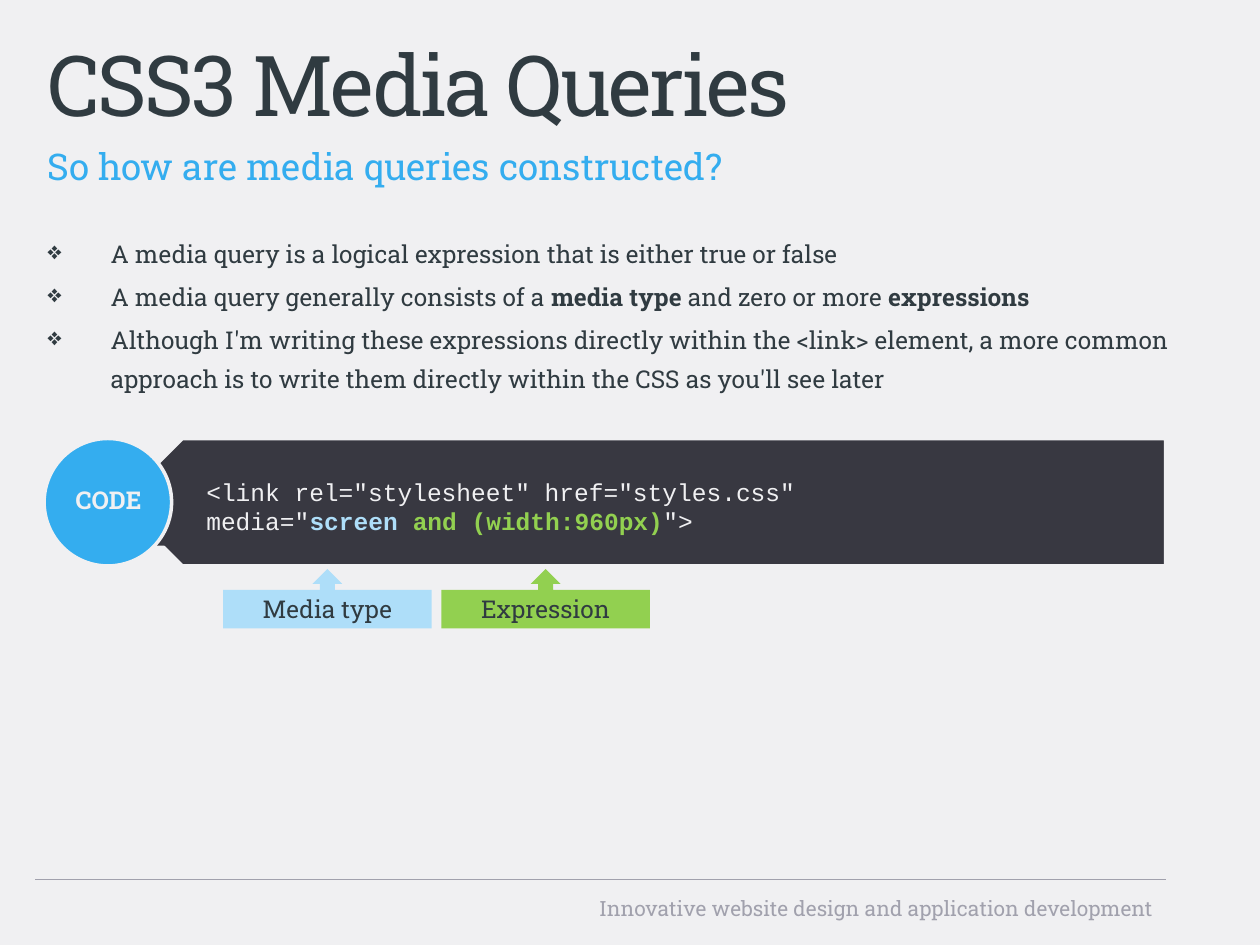
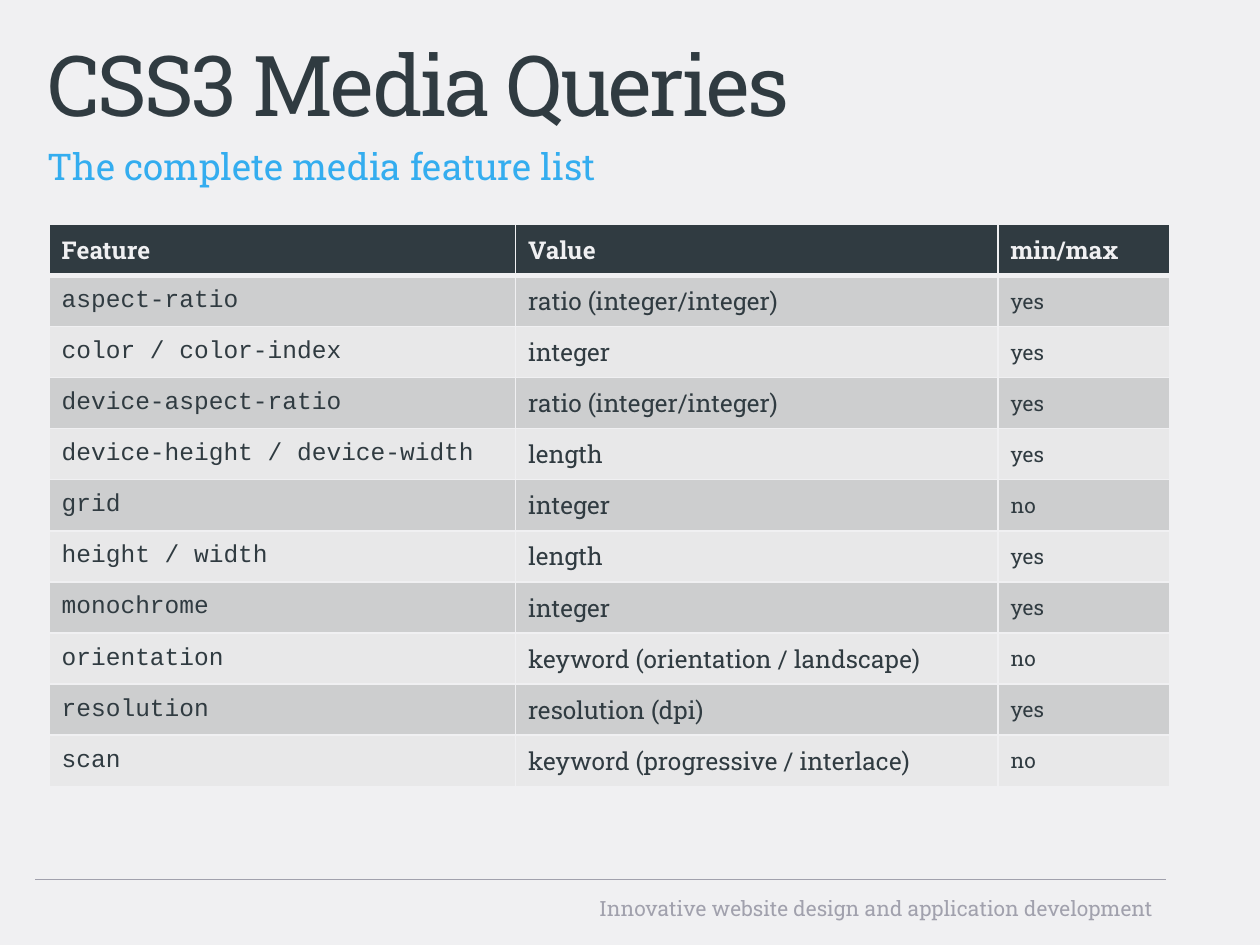
from pptx import Presentation
from pptx.dml.color import RGBColor
from pptx.enum.shapes import MSO_CONNECTOR, MSO_SHAPE
from pptx.enum.text import MSO_ANCHOR, PP_ALIGN
from pptx.oxml.ns import qn
from pptx.util import Cm, Pt
from lxml.etree import SubElement

# Shared colours
PAPER, INK, ACCENT, MUTED = "F0F0F2", "303B41", "34ADEF", "A1A1AD"
CODE_BACK, MEDIA_BLUE, EXPRESSION_GREEN = "383841", "AEDEF9", "92D050"
ROW_FILLS = ("CDCECF", "E8E8E9")

# Shared text styles
BODY = {"name": "Roboto Slab", "size": Pt(14), "color": INK}
STRONG = {**BODY, "bold": True}
TITLE = {**BODY, "size": Pt(48)}
SUBTITLE = {**BODY, "size": Pt(21), "color": ACCENT}
SMALL = {**BODY, "size": Pt(12)}
FOOTER = {**SMALL, "color": MUTED}
BADGE = {**STRONG, "color": PAPER}
MONO = {**BODY, "name": "Courier New"}
CODE = {**MONO, "color": PAPER}

PLAIN_LEFT, TEXT_WIDTH = 0.71, 22.4


def rgb(value):
    return RGBColor.from_string(value)


def lengths(*values):
    return [Cm(value) for value in values]


def write(para, spans, align=PP_ALIGN.LEFT, **spacing):
    """Fill a paragraph with (text, style) spans; a newline is a line break."""
    para.alignment = align
    for name, value in spacing.items():
        setattr(para, name, value)
    for text, style in spans:
        for index, line in enumerate(text.split("\n")):
            if index:
                para.add_line_break()
            span = para.add_run()
            span.text = line
            for name, value in style.items():
                if name == "color":
                    span.font.color.rgb = rgb(value)
                else:
                    setattr(span.font, name, value)


def add_text(page, box, spans, **layout):
    frame = page.shapes.add_textbox(*lengths(*box)).text_frame
    frame.word_wrap = True
    write(frame.paragraphs[0], spans, **layout)
    return frame


def add_block(shapes, kind, box, fill, line=None):
    block = shapes.add_shape(kind, *lengths(*box))
    block.shadow.inherit = False
    block.fill.solid()
    block.fill.fore_color.rgb = rgb(fill)
    if line:
        block.line.color.rgb = rgb(line)
        block.line.width = Pt(2)
    else:
        block.line.fill.background()
    return block


def add_page(deck, subtitle):
    """A page with the common title, subtitle and footer."""
    page = deck.slides.add_slide(deck.slide_layouts[6])
    page.background.fill.solid()
    page.background.fill.fore_color.rgb = rgb(PAPER)

    # Footer
    add_text(page, (11.3, 17.93, 12.2, 0.79),
             [("Innovative website design and application development", FOOTER)],
             align=PP_ALIGN.RIGHT)
    rule = page.shapes.add_connector(MSO_CONNECTOR.STRAIGHT,
                                     *lengths(PLAIN_LEFT, 17.73, 23.5, 17.73))
    rule.line.color.rgb = rgb(MUTED)
    rule.line.width = Pt(0.75)
    SubElement(rule._element.spPr, qn("a:effectLst"))

    # Title and subtitle
    frame = add_text(page, (PLAIN_LEFT, 0.53, TEXT_WIDTH, 2), [("CSS3 Media Queries", TITLE)])
    frame.paragraphs[0].runs[0]._r.get_or_add_rPr().set("spc", "-150")
    add_text(page, (PLAIN_LEFT, 2.51, TEXT_WIDTH, 1), [(subtitle, SUBTITLE)],
             line_spacing=1.3, space_before=Pt(4.2))
    return page


def add_bullets(page, box, items):
    frame = add_text(page, box, [])
    for index, spans in enumerate(items):
        para = frame.add_paragraph() if index else frame.paragraphs[0]
        write(para, spans, line_spacing=1.3, space_before=Pt(2.8))
        properties = para._p.get_or_add_pPr()
        properties.set("marL", str(Cm(1.27)))
        properties.set("indent", str(-Cm(1.27)))
        SubElement(properties, qn("a:buChar"), char="❖")


def add_code_panel(page, box, spans):
    left, top, width, height = box
    # Dark arrow plate with the code on it
    group = page.shapes.add_group_shape()
    plate = add_block(group.shapes, MSO_SHAPE.PENTAGON,
                      (left + 1.5, top, width - 1.5, height), CODE_BACK, PAPER)
    plate.rotation = 180
    panel = add_block(group.shapes, MSO_SHAPE.RECTANGLE,
                      (left + 2.13, top + 0.56, width - 2.75, 1.6), CODE_BACK)
    frame = panel.text_frame
    insets = {"margin_left": 1.14, "margin_top": 0.15, "margin_right": 0.28, "margin_bottom": 0.15}
    for name, value in insets.items():
        setattr(frame, name, Cm(value))
    frame.word_wrap = True
    frame.vertical_anchor = MSO_ANCHOR.MIDDLE
    write(frame.paragraphs[0], spans)

    # Round badge
    add_block(page.shapes, MSO_SHAPE.OVAL, (left, top, height, height), ACCENT, PAPER)
    add_text(page, (left + 0.2, top + 0.81, 2.2, 0.86), [("CODE", BADGE)],
             align=PP_ALIGN.CENTER)


def add_callout(page, box, label, fill):
    callout = add_block(page.shapes, MSO_SHAPE.UP_ARROW_CALLOUT, box, fill)
    callout.text_frame.word_wrap = True
    callout.text_frame.vertical_anchor = MSO_ANCHOR.MIDDLE
    write(callout.text_frame.paragraphs[0], [(label, BODY)], align=PP_ALIGN.CENTER)


def set_borders(cell, bottom):
    """Paper-coloured lines; they must stand before the fill in the XML."""
    properties = cell._tc.get_or_add_tcPr()
    widths = {"lnL": 1, "lnR": 1, "lnT": 1, "lnB": bottom}
    for index, (tag, width) in enumerate(widths.items()):
        line = SubElement(properties, qn("a:" + tag), w=str(Pt(width)))
        SubElement(SubElement(line, qn("a:solidFill")), qn("a:srgbClr"), val=PAPER)
        properties.insert(index, line)


def add_feature_table(page, left, top, widths, row_height, rows):
    box = (left, top, sum(widths), row_height * len(rows))
    table = page.shapes.add_table(len(rows), len(widths), *lengths(*box)).table
    for column, width in zip(table.columns, widths):
        column.width = Cm(width)
    for number, values in enumerate(rows):
        table.rows[number].height = Cm(row_height)
        header = number == 0
        fill = INK if header else ROW_FILLS[(number - 1) % 2]
        styles = (BADGE,) * 3 if header else (MONO, BODY, SMALL)
        for cell, text, style in zip(table.rows[number].cells, values, styles):
            cell.fill.solid()
            cell.fill.fore_color.rgb = rgb(fill)
            cell.vertical_anchor = MSO_ANCHOR.MIDDLE
            write(cell.text_frame.paragraphs[0], [(text, style)])
            set_borders(cell, 3 if number == 0 else 1)
            if number == 1:
                cell._tc.tcPr.find(qn("a:lnT")).set("w", str(Pt(3)))


def build_construction(deck):
    page = add_page(deck, "So how are media queries constructed?")
    add_bullets(page, (PLAIN_LEFT, 4.52, 23.4, 13), [
        [("A media query is a logical expression that is either true or false", BODY)],
        [("A media query generally consists of a ", BODY), ("media type ", STRONG),
         ("and zero or more ", BODY), ("expressions", STRONG)],
        [("Although I'm writing these expressions directly within the <link> element, "
          "a more common approach is to write them directly within the CSS "
          "as you'll see later", BODY)],
    ])
    add_code_panel(page, (0.89, 8.84, 22.61, 2.57), [
        ('<link rel="stylesheet" href="styles.css"\nmedia="', CODE),
        ("screen ", {**CODE, "color": MEDIA_BLUE, "bold": True}),
        ("and (width:960px)", {**CODE, "color": EXPRESSION_GREEN, "bold": True}),
        ('">', CODE),
    ])
    callouts = (("Media type", MEDIA_BLUE), ("Expression", EXPRESSION_GREEN))
    for index, (label, fill) in enumerate(callouts):
        add_callout(page, (4.5 + 4.4 * index, 11.47, 4.2, 1.2), label, fill)


def build_features(deck):
    page = add_page(deck, "The complete media feature list")
    add_feature_table(page, 0.99, 4.52, (9.4, 9.73, 3.47), 1.03, [
        ("Feature", "Value", "min/max"),
        ("aspect-ratio", "ratio (integer/integer)", "yes"),
        ("color / color-index", "integer", "yes"),
        ("device-aspect-ratio", "ratio (integer/integer)", "yes"),
        ("device-height / device-width", "length", "yes"),
        ("grid", "integer", "no"),
        ("height / width", "length", "yes"),
        ("monochrome", "integer", "yes"),
        ("orientation", "keyword (orientation / landscape)", "no"),
        ("resolution", "resolution (dpi)", "yes"),
        ("scan", "keyword (progressive / interlace)", "no"),
    ])


deck = Presentation()
deck.slide_width, deck.slide_height = lengths(25.4, 19.05)
build_construction(deck)
build_features(deck)
deck.save("out.pptx")
